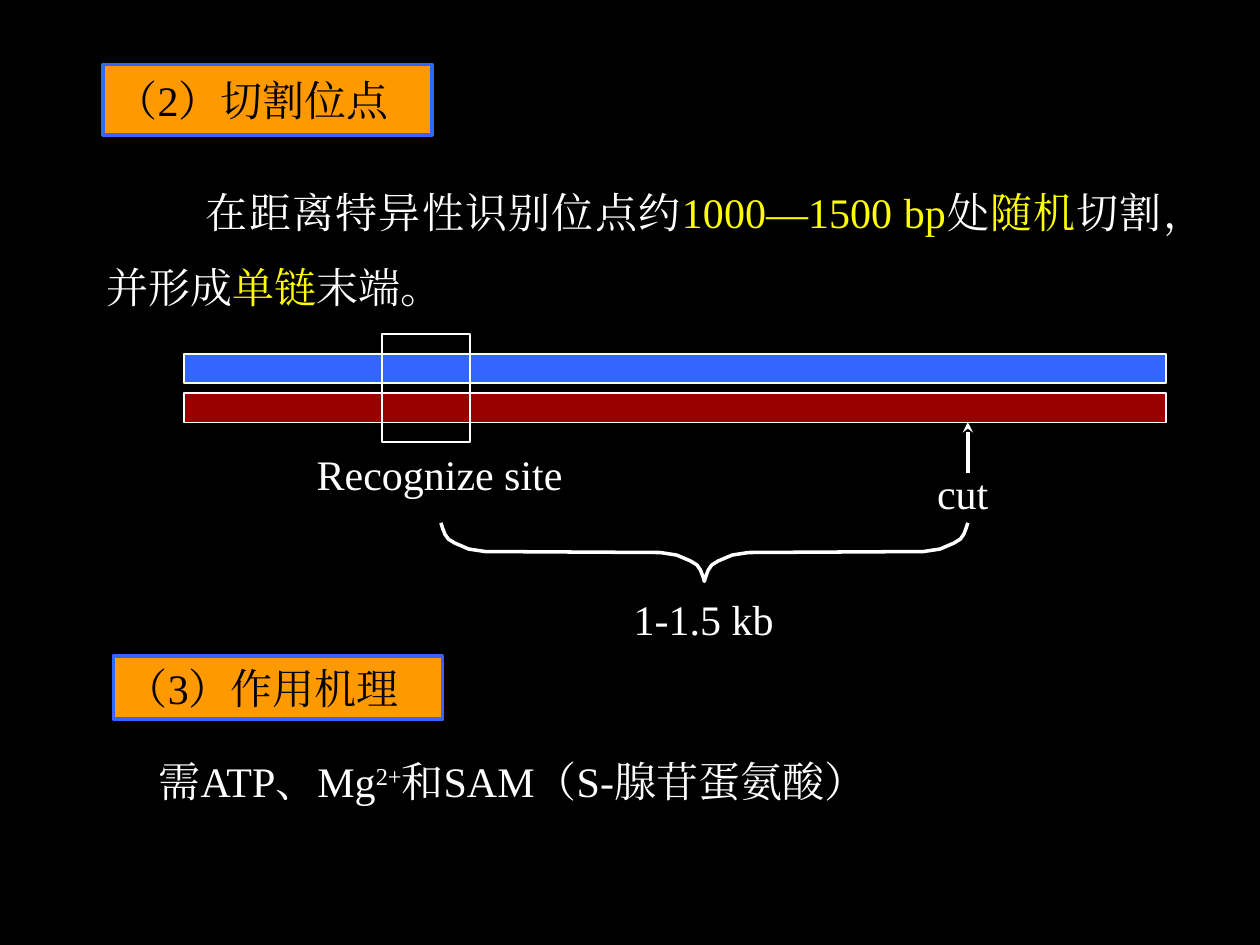
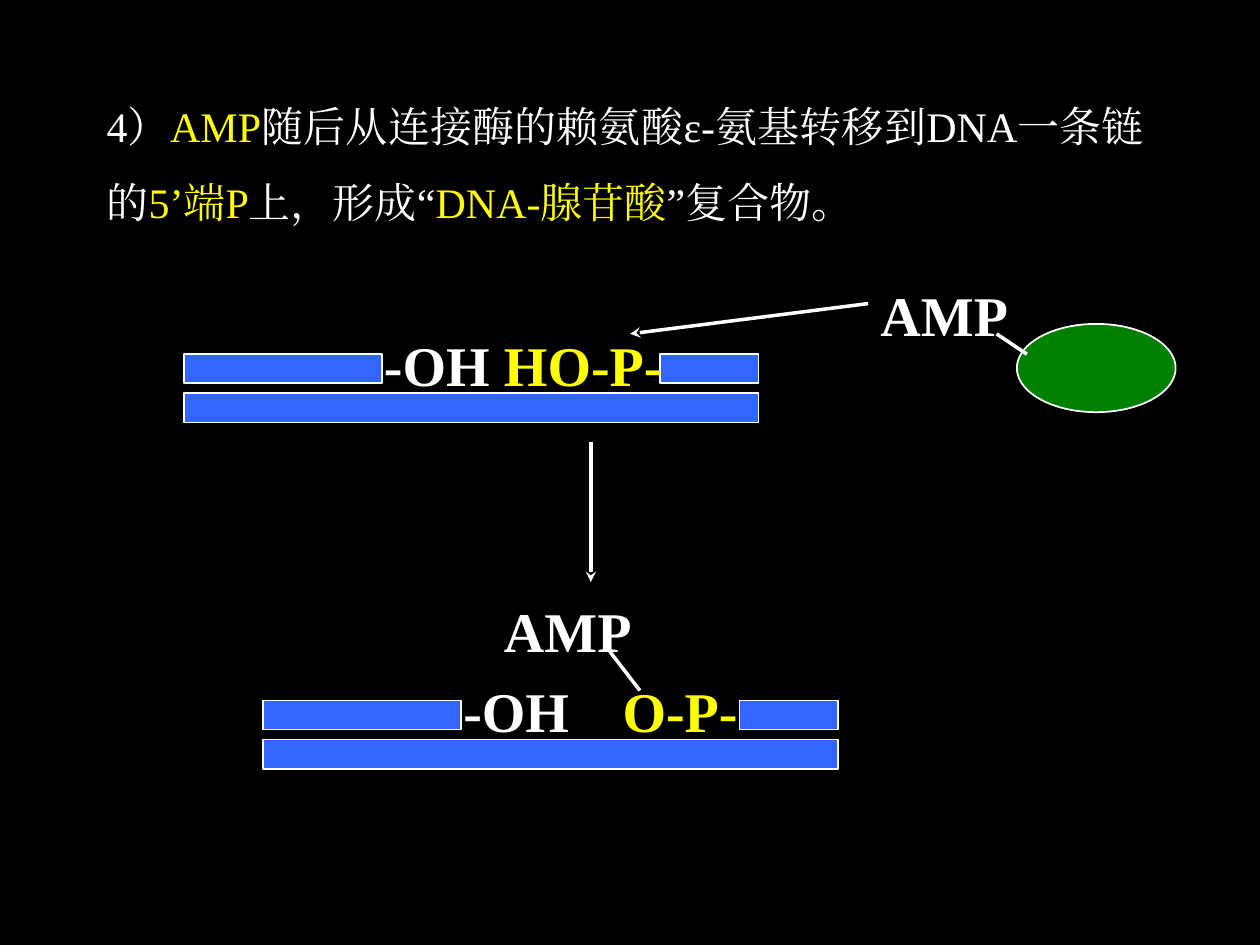
import pptx
import pptx.dml.color
import pptx.enum.shapes
import pptx.enum.text
import pptx.oxml
import pptx.oxml.ns
import pptx.util
from dataclasses import dataclass

Cm = pptx.util.Cm
SHAPE = pptx.enum.shapes.MSO_SHAPE
ALIGN = pptx.enum.text.PP_ALIGN
ANCHOR = pptx.enum.text.MSO_ANCHOR


@dataclass(frozen=True)
class Theme:
    font: str = "Times New Roman"
    black: str = "000000"
    white: str = "FFFFFF"
    yellow: str = "FFFF00"
    blue: str = "3366FF"
    red: str = "990000"
    green: str = "008000"
    orange: str = "FF9900"
    body: int = 24
    formula: int = 32
    thin: int = 1
    thick: int = 2


T = Theme()

# Content: runs are (text, colour) or (text, colour, baseline); places are in cm
HEADINGS = [
    ("（2）切割位点", (2.08, 1.3, 6.63, 1.42)),
    ("（3）作用机理", (2.29, 13.23, 6.63, 1.27)),
]
CUT_SITE = [
    ("在距离特异性识别位点约", T.white), ("1000—1500 bp", T.yellow),
    ("处", T.white), ("随机", T.yellow), ("切割，并形成", T.white),
    ("单链", T.yellow), ("末端。", T.white),
]
COFACTORS = [
    ("需ATP、Mg", T.white), ("2+", T.white, 30000),
    ("和SAM（S-腺苷蛋氨酸）", T.white),
]
SITE_LABELS = [
    ("Recognize site", (6.12, 8.92, 5.49, 1.27), ALIGN.CENTER),
    ("cut", (18.64, 9.3, 1.55, 1.27), ALIGN.LEFT),
    ("1-1.5 kb", (12.52, 11.84, 3.33, 1.27), ALIGN.CENTER),
]
AMP_TRANSFER = [
    ("4）", T.white), ("AMP", T.yellow),
    ("随后从连接酶的赖氨酸ɛ-氨基转移到DNA一条链的", T.white),
    ("5’端P", T.yellow), ("上，形成“", T.white),
    ("DNA-腺苷酸", T.yellow), ("”复合物。", T.white),
]
# Nicked duplexes: left, top, phosphate end, its offset and width
DUPLEXES = [
    (3.71, 7.14, "HO-P-", 6.2, 3.71),
    (5.31, 14.12, "O-P-", 6.99, 2.84),
]
AMP_PLACES = [(17.5, 5.54), (9.91, 11.91)]
BONDS = [(20.09, 6.73, 20.7, 7.14), (12.29, 13.13, 12.9, 13.92)]
ARROWS = [(17.5, 6.12, 12.7, 6.73), (11.91, 8.92, 11.91, 11.73)]

STRAND_H, STRAND_PITCH = 0.59, 0.79
STRAND_LEFT, STRAND_TOP, STRAND_W = 3.71, 7.14, 19.79
DUPLEX_W, LEFT_PIECE_W, RIGHT_PIECE_W = 11.58, 3.99, 1.98
BRACE_LEFT, BRACE_TOP, BRACE_W, BRACE_H = 8.89, 10.54, 10.62, 1.18
BRACE_CURL = [(0, 0), (0.03, 0.1), (0.08, 0.23), (0.15, 0.33),
              (0.28, 0.41), (0.56, 0.53), (0.89, 0.58)]


def rgb(color):
    return pptx.dml.color.RGBColor.from_string(color)


def cm(values):
    return [Cm(v) for v in values]


def outline(sp, color, width):
    sp.line.color.rgb = rgb(color)
    sp.line.width = pptx.util.Pt(width)


def add_slide(prs):
    s = prs.slides.add_slide(prs.slide_layouts[6])
    s.background.fill.solid()
    s.background.fill.fore_color.rgb = rgb(T.black)
    return s


def write(p, runs, size, bold=False):
    for text, color, *baseline in runs:
        r = p.add_run()
        r.text = text
        r.font.name = T.font
        r.font.size = pptx.util.Pt(size)
        r.font.bold = bold
        r.font.color.rgb = rgb(color)
        rPr = r._r.get_or_add_rPr()
        ea = pptx.oxml.ns.qn("a:ea")
        rPr.append(rPr.makeelement(ea, {"typeface": T.font}))
        if baseline:
            rPr.set("baseline", str(baseline[0]))


def add_text(s, place, runs, size=T.body, bold=False, align=ALIGN.LEFT):
    """Add a one-line text that does not wrap."""
    tf = s.shapes.add_textbox(*cm(place)).text_frame
    tf.word_wrap = False
    tf.paragraphs[0].alignment = align
    write(tf.paragraphs[0], runs, size, bold)


def add_paragraph(s, place, runs, indent=0):
    tf = s.shapes.add_textbox(*cm(place)).text_frame
    tf.word_wrap = True
    p = tf.paragraphs[0]
    p.alignment = ALIGN.JUSTIFY
    p.line_spacing = 1.5
    p._p.get_or_add_pPr().set("indent", str(Cm(indent)))
    write(p, runs, T.body)


def add_block(s, place, fill=None, line=T.white, width=T.thin, kind=SHAPE.RECTANGLE):
    sp = s.shapes.add_shape(kind, *cm(place))
    sp.shadow.inherit = False
    if fill:
        sp.fill.solid()
        sp.fill.fore_color.rgb = rgb(fill)
    else:
        sp.fill.background()
    outline(sp, line, width)
    return sp


def add_heading(s, text, place):
    tf = add_block(s, place, T.orange, T.blue, T.thick).text_frame
    tf.word_wrap = True
    tf.vertical_anchor = ANCHOR.MIDDLE
    tf.paragraphs[0].alignment = ALIGN.LEFT
    write(tf.paragraphs[0], [(text, T.black)], T.body)


def add_line(s, ends, arrow=False):
    sp = s.shapes.add_connector(pptx.enum.shapes.MSO_CONNECTOR.STRAIGHT, *cm(ends))
    outline(sp, T.white, T.thick)
    if arrow:
        ln = sp.line._get_or_add_ln()
        ln.append(ln.makeelement(pptx.oxml.ns.qn("a:tailEnd"), {"type": "stealth"}))
    spPr = sp._element.spPr
    spPr.append(spPr.makeelement(pptx.oxml.ns.qn("a:effectLst"), {}))


def add_brace(s):
    """Draw a brace from one curl, turned for the point and then mirrored."""
    half = BRACE_CURL + [(BRACE_W / 2 - x, BRACE_H - y) for x, y in reversed(BRACE_CURL)]
    outline_points = half + [(BRACE_W - x, y) for x, y in reversed(half[:-1])]
    points = [cm((BRACE_LEFT + x, BRACE_TOP + y)) for x, y in outline_points]
    builder = s.shapes.build_freeform(*points[0])
    builder.add_line_segments(points[1:], close=False)
    sp = builder.convert_to_shape()
    sp.shadow.inherit = False
    sp.fill.background()
    outline(sp, T.white, T.thick)


def add_duplex(s, left, top, phosphate, offset, width):
    for x, row, w in [(0, 1, DUPLEX_W), (0, 0, LEFT_PIECE_W),
                      (DUPLEX_W - RIGHT_PIECE_W, 0, RIGHT_PIECE_W)]:
        add_block(s, (left + x, top + row * STRAND_PITCH, w, STRAND_H), T.blue)
    for text, color, x, w in [("-OH", T.white, 3.78, 2.64),
                              (phosphate, T.yellow, offset, width)]:
        add_text(s, (left + x, top - 0.61, w, 1.6), [(text, color)], T.formula, True)


def build_cut_site(prs):
    s = add_slide(prs)
    add_text(s, (2.95, 15.11, 16.48, 1.27), COFACTORS)
    for text, place in HEADINGS:
        add_heading(s, text, place)
    add_paragraph(s, (1.9, 3.12, 21.8, 3.3), CUT_SITE, indent=2)
    for row, color in enumerate((T.blue, T.red)):
        top = STRAND_TOP + row * STRAND_PITCH
        add_block(s, (STRAND_LEFT, top, STRAND_W, STRAND_H), color)
    add_block(s, (7.7, 6.73, 1.78, 2.18))
    add_line(s, (19.51, 9.53, 19.51, 8.51), arrow=True)
    for text, place, align in SITE_LABELS:
        add_text(s, place, [(text, T.white)], align=align)
    add_brace(s)


def build_amp_transfer(prs):
    s = add_slide(prs)
    add_paragraph(s, (1.9, 1.4, 21.41, 3.3), AMP_TRANSFER)
    for duplex in DUPLEXES:
        add_duplex(s, *duplex)
    add_block(s, (20.5, 6.53, 3.2, 1.78), T.green, kind=SHAPE.OVAL)
    for left, top in AMP_PLACES:
        add_text(s, (left, top, 3.1, 1.6), [("AMP", T.white)], T.formula, True)
    for ends in BONDS:
        add_line(s, ends)
    for ends in ARROWS:
        add_line(s, ends, arrow=True)


def main():
    prs = pptx.Presentation()
    prs.slide_width, prs.slide_height = Cm(25.4), Cm(19.05)
    build_cut_site(prs)
    build_amp_transfer(prs)
    prs.save("out.pptx")


if __name__ == "__main__":
    main()
